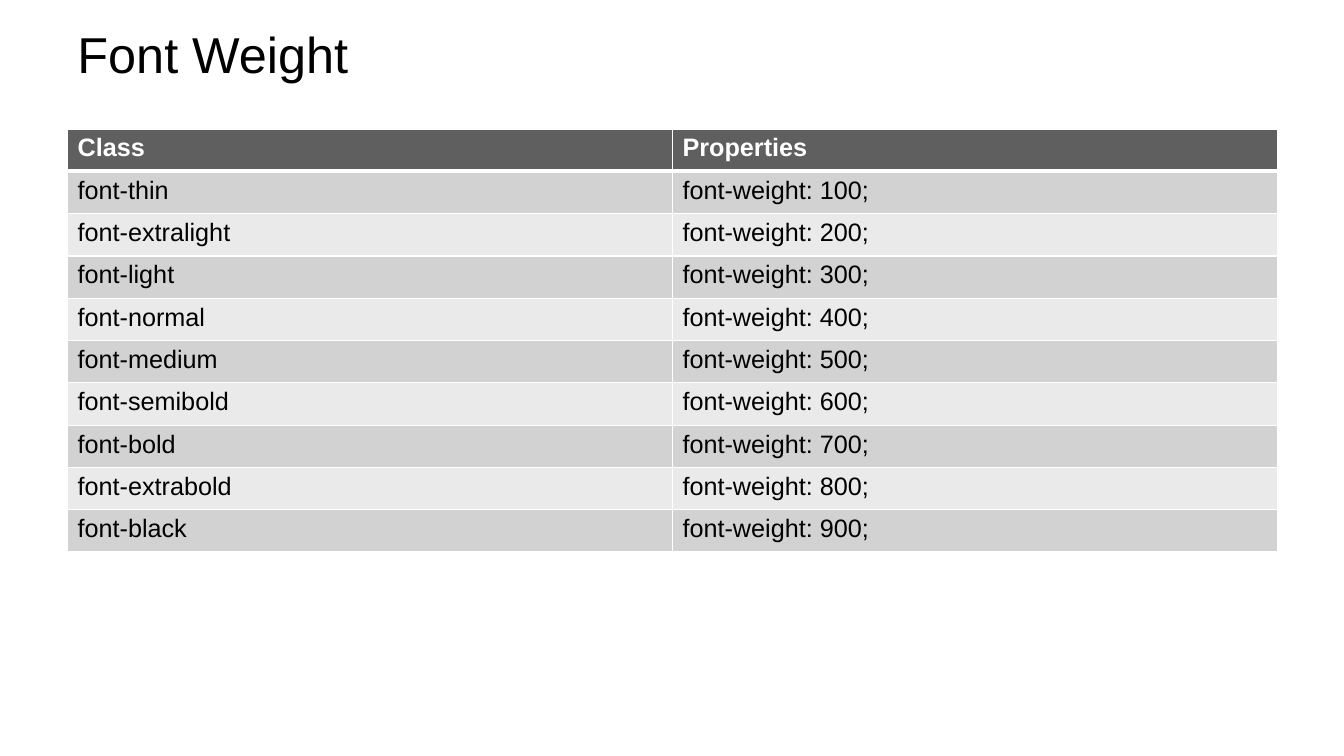
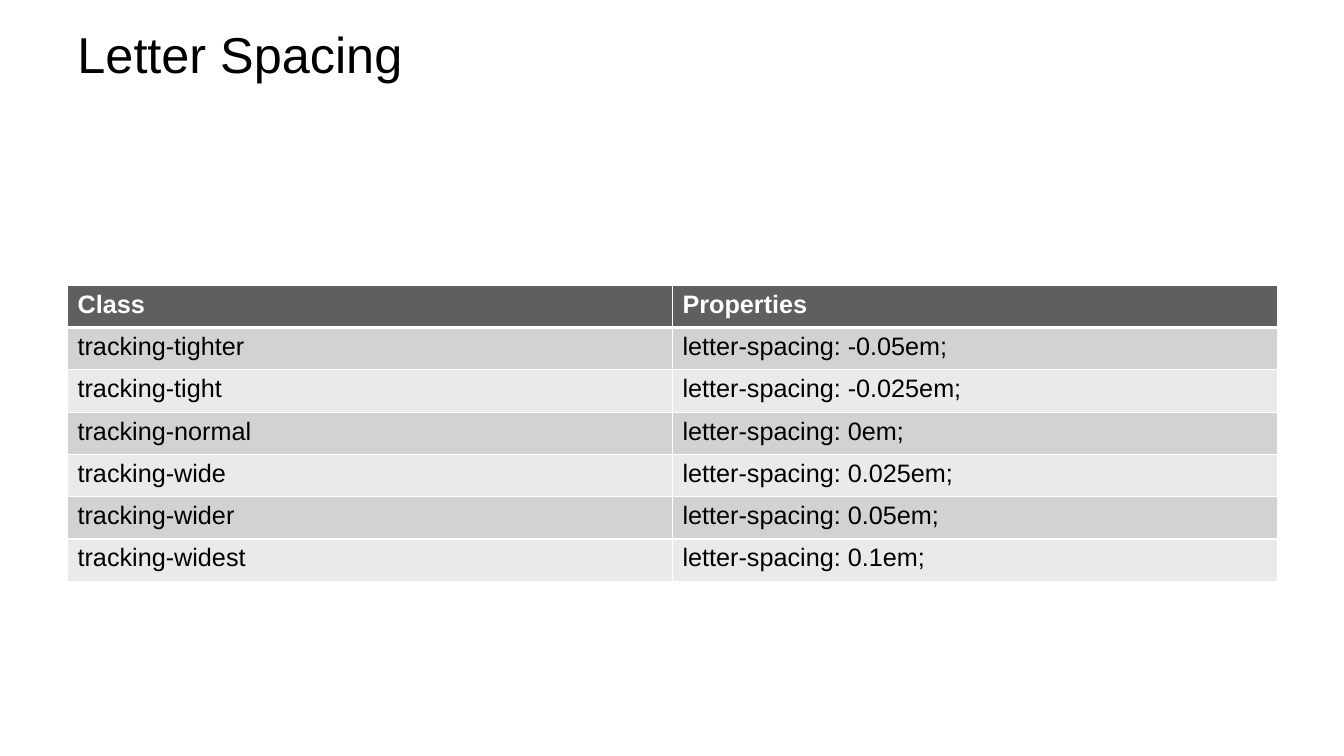
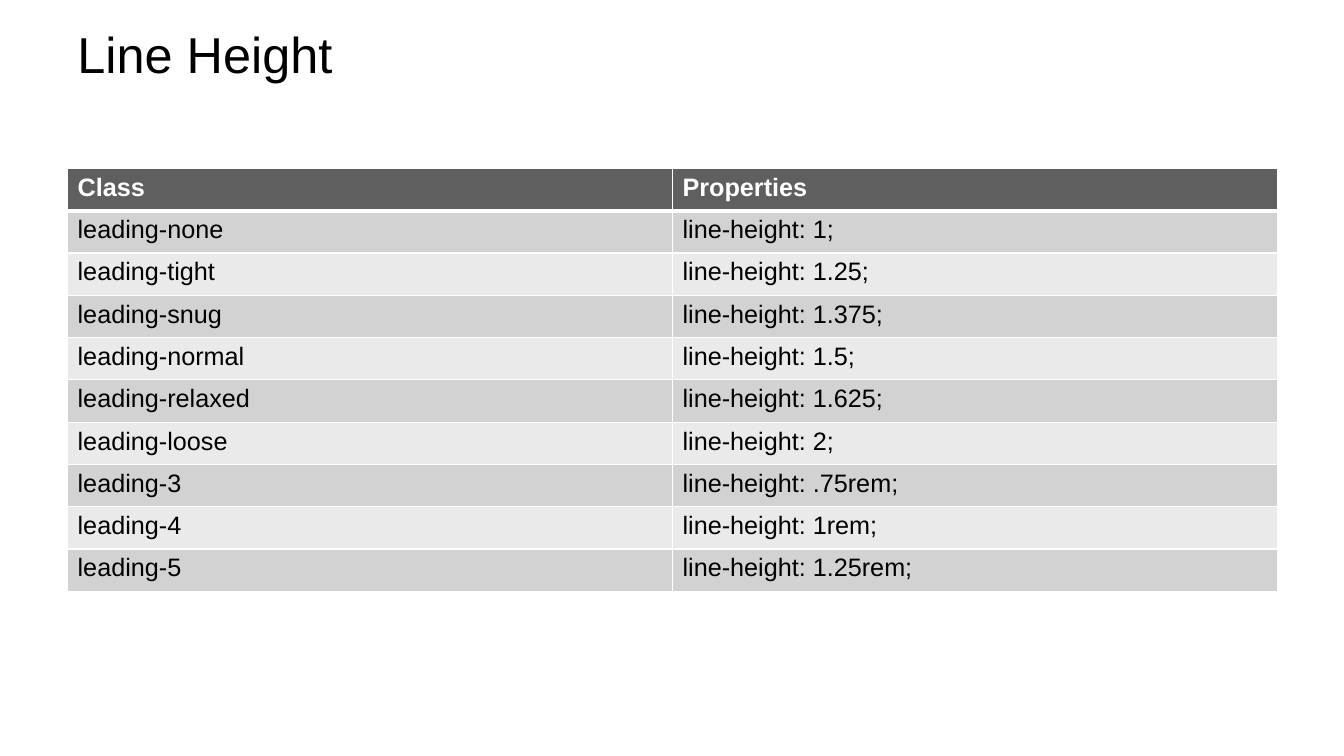
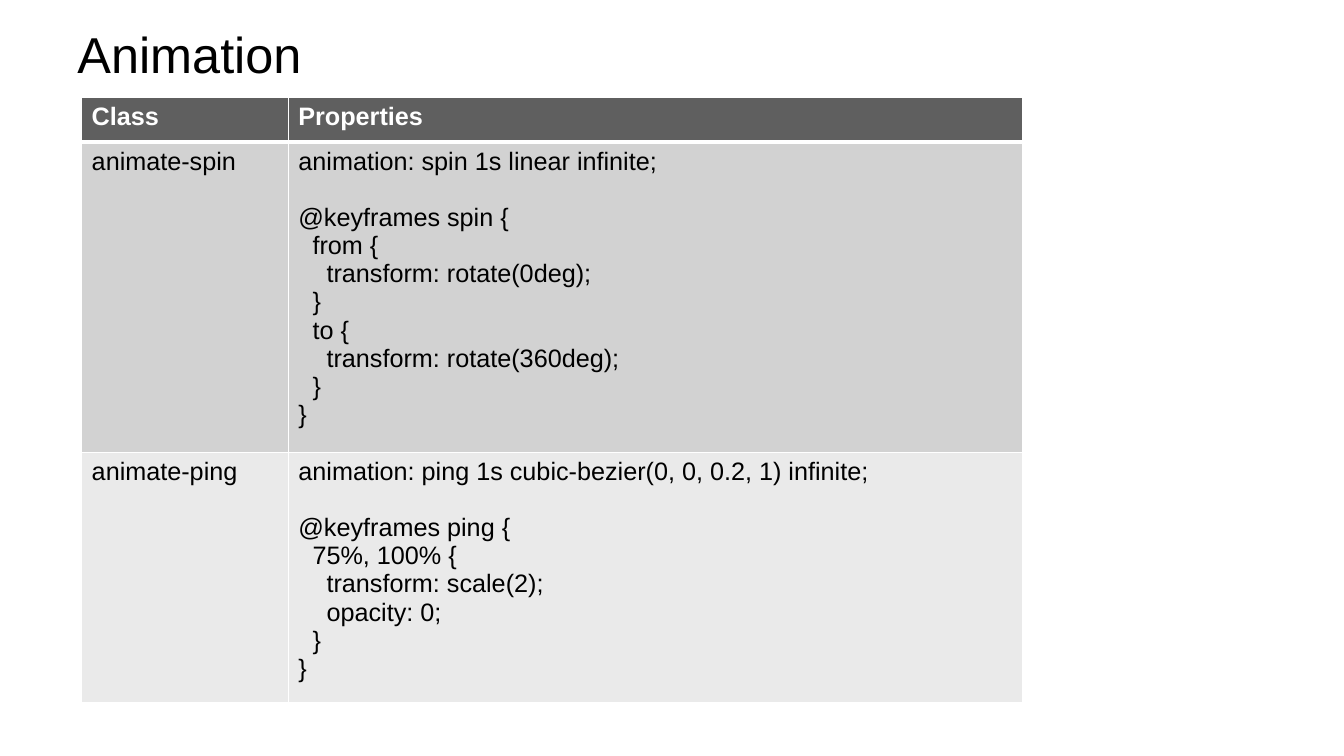
from lxml import etree
from pptx import Presentation
from pptx.dml.color import RGBColor
from pptx.enum.text import MSO_ANCHOR
from pptx.oxml.ns import qn
from pptx.util import Inches, Pt

MIDDLE = MSO_ANCHOR.MIDDLE
FONT = "Arial"
COLORS = {
    "text": "000000",
    "header_text": "FFFFFF",
    "header": "5F5F5F",
    "odd_row": "D2D2D2",
    "even_row": "EAEAEA",
    "border": "FFFFFF",
}
TITLE_FORMAT = {"size": Pt(36), "bold": False}
HEADER_FORMAT = {"size": Pt(18), "bold": True}
BODY_FORMAT = {"size": Pt(18), "bold": False}

TITLE_BOX = (0.67, 0.21, 12, 0.64)
HEADINGS = ("Class", "Properties")
ROW_HEIGHT = 0.42
CODE_INDENT = 0.14  # one nesting level
CODE_GAP = Pt(20)  # between a declaration and its keyframes

WEIGHTS = ["thin", "extralight", "light", "normal", "medium",
           "semibold", "bold", "extrabold", "black"]
TRACKING = [("tighter", "-0.05em"), ("tight", "-0.025em"), ("normal", "0em"),
            ("wide", "0.025em"), ("wider", "0.05em"), ("widest", "0.1em")]
LEADING = [("none", "1"), ("tight", "1.25"), ("snug", "1.375"),
           ("normal", "1.5"), ("relaxed", "1.625"), ("loose", "2"),
           ("3", ".75rem"), ("4", "1rem"), ("5", "1.25rem")]

# Slides with a table of one-line properties: title, table top, prefix, property, rows
PROPERTY_SLIDES = [
    ("Font Weight", 1.28, "font", "font-weight",
     [(name, str(100 * step)) for step, name in enumerate(WEIGHTS, 1)]),
    ("Letter Spacing", 2.83, "tracking", "letter-spacing", TRACKING),
    ("Line Height", 1.67, "leading", "line-height", LEADING),
]

# Each code line is a nesting level and its text
ANIMATIONS = [
    ("animate-spin", "animation: spin 1s linear infinite;", [
        (0, "@keyframes spin {"),
        (1, "from {"),
        (2, "transform: rotate(0deg);"),
        (1, "}"),
        (1, "to {"),
        (2, "transform: rotate(360deg);"),
        (1, "}"),
        (0, "}"),
    ]),
    ("animate-ping", "animation: ping 1s cubic-bezier(0, 0, 0.2, 1) infinite;", [
        (0, "@keyframes ping {"),
        (1, "75%, 100% {"),
        (2, "transform: scale(2);"),
        (2, "opacity: 0;"),
        (1, "}"),
        (0, "}"),
    ]),
]


def color(name):
    return RGBColor.from_string(COLORS[name])


def write(paragraph, text, text_format, color_name):
    run = paragraph.add_run()
    run.text = text
    run.font.name = FONT
    run.font.color.rgb = color(color_name)
    for attribute, value in text_format.items():
        setattr(run.font, attribute, value)


def add_title(slide, text, box):
    shape = slide.shapes.add_textbox(*map(Inches, box))
    frame = shape.text_frame
    frame.word_wrap = True
    frame.vertical_anchor = MIDDLE
    write(frame.paragraphs[0], text, TITLE_FORMAT, "text")


def set_borders(cell, widths):
    properties = cell._tc.get_or_add_tcPr()
    for side, width in zip("LRTB", widths):
        line = etree.SubElement(properties, qn(f"a:ln{side}"), w=str(Pt(width)))
        fill = etree.SubElement(line, qn("a:solidFill"))
        etree.SubElement(fill, qn("a:srgbClr"), val=COLORS["border"])


def fill_cell(cell, content, row):
    """Content is a string or a list of (level, text, space before)."""
    # Borders, heavier between header and body
    set_borders(cell, (1, 1, 3 if row == 1 else 1, 3 if row == 0 else 1))
    cell.fill.solid()
    fill_name = "header" if row == 0 else ("odd_row" if row % 2 else "even_row")
    cell.fill.fore_color.rgb = color(fill_name)

    # Text
    text_format, text_color = ((HEADER_FORMAT, "header_text") if row == 0
                               else (BODY_FORMAT, "text"))
    lines = [(0, content, 0)] if isinstance(content, str) else content
    frame = cell.text_frame
    for index, (level, text, space) in enumerate(lines):
        paragraph = frame.add_paragraph() if index else frame.paragraphs[0]
        if level:
            margin = Inches(level * CODE_INDENT)
            paragraph._p.get_or_add_pPr().set("marL", str(margin))
        if space:
            paragraph.space_before = space
        write(paragraph, text, text_format, text_color)


def add_class_table(slide, left, top, widths, heights, rows):
    rows = [HEADINGS, *rows]
    table = slide.shapes.add_table(
        len(rows), len(widths), Inches(left), Inches(top),
        Inches(sum(widths)), Inches(sum(heights))).table
    table.first_row = table.horz_banding = False
    for column, width in zip(table.columns, widths):
        column.width = Inches(width)
    for index, (height, contents) in enumerate(zip(heights, rows)):
        table.rows[index].height = Inches(height)
        for column, content in enumerate(contents):
            fill_cell(table.cell(index, column), content, index)


def add_slide(presentation, title):
    slide = presentation.slides.add_slide(presentation.slide_layouts[6])
    add_title(slide, title, TITLE_BOX)
    return slide


def add_property_slide(presentation, title, top, prefix, property_name, values):
    slide = add_slide(presentation, title)
    rows = [(f"{prefix}-{name}", f"{property_name}: {value};")
            for name, value in values]
    add_class_table(slide, TITLE_BOX[0], top, (6, 6),
                    [ROW_HEIGHT] * (len(rows) + 1), rows)


def add_animation_slide(presentation):
    slide = add_slide(presentation, "Animation")
    rows = []
    for name, declaration, keyframes in ANIMATIONS:
        code = [(level, text, 0 if index else CODE_GAP)
                for index, (level, text) in enumerate(keyframes)]
        rows.append((name, [(0, declaration, 0), *code]))
    add_class_table(slide, 0.81, 0.97, (2.05, 7.28), (0.44, 3.07, 2.33), rows)


def main():
    presentation = Presentation()
    presentation.slide_width = Inches(13.33)
    presentation.slide_height = Inches(7.5)
    for content in PROPERTY_SLIDES:
        add_property_slide(presentation, *content)
    add_animation_slide(presentation)
    presentation.save("out.pptx")


if __name__ == "__main__":
    main()
